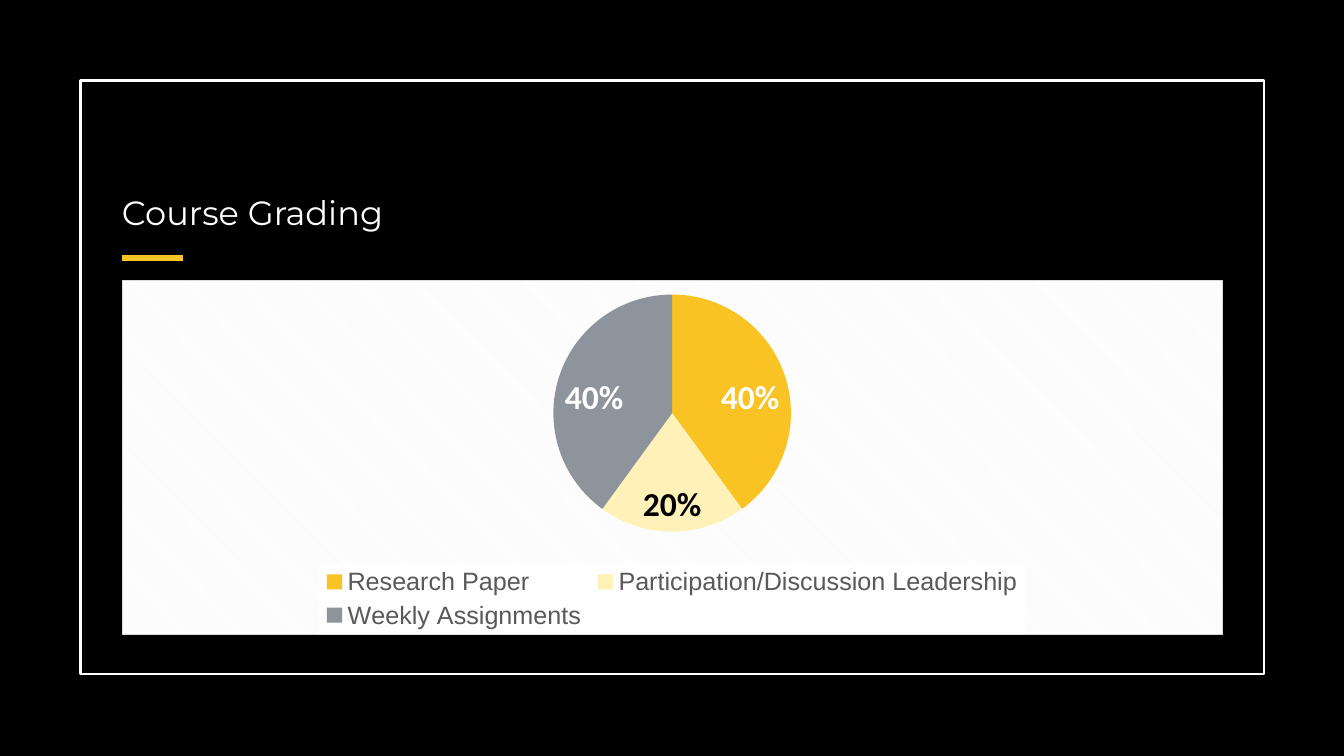
from lxml import etree
from pptx import Presentation
from pptx.chart.data import CategoryChartData
from pptx.dml.color import RGBColor
from pptx.enum.chart import XL_CHART_TYPE, XL_LABEL_POSITION, XL_LEGEND_POSITION
from pptx.enum.shapes import MSO_CONNECTOR, MSO_SHAPE
from pptx.enum.text import MSO_ANCHOR, PP_ALIGN
from pptx.oxml import parse_xml
from pptx.oxml.ns import nsdecls, qn
from pptx.util import Cm, Pt

PIE = XL_CHART_TYPE.PIE
INSIDE_END = XL_LABEL_POSITION.INSIDE_END
LEGEND_BOTTOM = XL_LEGEND_POSITION.BOTTOM
STRAIGHT = MSO_CONNECTOR.STRAIGHT
RECTANGLE = MSO_SHAPE.RECTANGLE
BOTTOM = MSO_ANCHOR.BOTTOM
LEFT = PP_ALIGN.LEFT

BLACK = RGBColor(0x00, 0x00, 0x00)
WHITE = RGBColor(0xFF, 0xFF, 0xFF)
ACCENT = RGBColor(0xF9, 0xC4, 0x23)
GOLD = RGBColor(0xF8, 0xC3, 0x23)
CREAM = RGBColor(0xFF, 0xF1, 0xB7)
SLATE = RGBColor(0x8D, 0x94, 0x9B)
LEGEND_GREY = RGBColor(0x59, 0x59, 0x59)
PATTERN_GREY = RGBColor(0xF2, 0xF2, 0xF2)
BORDER_GREY = RGBColor(0xD9, 0xD9, 0xD9)

CONTENT_LEFT, CONTENT_WIDTH = Cm(3.07), Cm(27.74)
GRADES = [
    ("Research Paper", 40, GOLD, WHITE),
    ("Participation/Discussion Leadership", 20, CREAM, BLACK),
    ("Weekly Assignments", 40, SLATE, WHITE),
]


def set_font(font, name, size, color, bold=False):
    """Set the face, size, colour and weight of a font."""
    font.name = name
    font.size = Pt(size)
    font.bold = bold
    font.color.rgb = color


def add_frame(slide):
    """Add the white outline around the slide content."""
    frame = slide.shapes.add_shape(RECTANGLE, Cm(2.03), Cm(2.03), Cm(29.82), Cm(14.96))
    frame.shadow.inherit = False
    frame.fill.background()
    frame.line.color.rgb = WHITE
    frame.line.width = Pt(1.5)


def add_accent(slide):
    """Add the short rule below the title."""
    top = Cm(6.5)
    accent = slide.shapes.add_connector(
        STRAIGHT, CONTENT_LEFT, top, CONTENT_LEFT + Cm(1.55), top)
    accent.line.color.rgb = ACCENT
    accent.line.width = Pt(4)
    etree.SubElement(accent._element.spPr, qn("a:effectLst"))


def set_title(slide, text):
    """Place and format the title placeholder."""
    title = slide.shapes.title
    title.left, title.top = CONTENT_LEFT, Cm(3.12)
    title.width, title.height = CONTENT_WIDTH, Cm(2.72)
    frame = title.text_frame
    frame.text = text
    frame.word_wrap = True
    frame.vertical_anchor = BOTTOM
    frame.margin_left = frame.margin_right = frame.margin_top = frame.margin_bottom = 0
    paragraph = frame.paragraphs[0]
    paragraph.alignment = LEFT
    set_font(paragraph.font, "Montserrat", 24, WHITE)


def add_formatting(previous, content):
    """Insert chart shape properties after the given element."""
    previous.addnext(parse_xml(f'<c:spPr {nsdecls("c", "a")}>{content}</c:spPr>'))


def format_background(chart):
    """Give the chart its hatched fill and border, and the legend its veil."""
    add_formatting(
        chart._chartSpace.find(qn("c:chart")),
        '<a:pattFill prst="dkDnDiag">'
        f'<a:fgClr><a:srgbClr val="{PATTERN_GREY}"/></a:fgClr>'
        f'<a:bgClr><a:srgbClr val="{WHITE}"/></a:bgClr></a:pattFill>'
        f'<a:ln w="{Pt(0.75)}"><a:solidFill><a:srgbClr val="{BORDER_GREY}"/>'
        '</a:solidFill></a:ln>')
    add_formatting(
        chart.legend._element.find(qn("c:overlay")),
        f'<a:solidFill><a:srgbClr val="{WHITE}"><a:alpha val="78000"/>'
        '</a:srgbClr></a:solidFill>')


def format_slices(series):
    """Colour the slices and label each with its percentage."""
    labels = series.data_labels
    labels.show_percentage = True
    labels.show_value = False
    labels.number_format = "0%"
    labels.number_format_is_linked = False
    labels.position = INSIDE_END
    set_font(labels.font, "Calibri", 24, WHITE, bold=True)
    for index, (_, _, color, label_color) in enumerate(GRADES):
        point = series.points[index]
        point.format.fill.solid()
        point.format.fill.fore_color.rgb = color
        point.format.line.fill.background()
        if label_color != WHITE:
            set_font(point.data_label.font, "Calibri", 24, label_color, bold=True)
            point.data_label.position = INSIDE_END
    for label in labels._element.findall(qn("c:dLbl")):
        label.find(qn("c:showVal")).set("val", "0")
        label.find(qn("c:showPercent")).set("val", "1")


def add_grading_chart(slide):
    """Add the pie chart of the grade components."""
    data = CategoryChartData()
    data.categories = [name for name, *_ in GRADES]
    data.add_series("Series 1", [share for _, share, *_ in GRADES])
    chart = slide.shapes.add_chart(
        PIE, CONTENT_LEFT, Cm(7.06), CONTENT_WIDTH, Cm(8.94), data).chart
    chart.has_title = False
    chart.plots[0].vary_by_categories = True
    set_font(chart.font, "Calibri", 10, BLACK)
    chart.has_legend = True
    chart.legend.position = LEGEND_BOTTOM
    chart.legend.include_in_layout = False
    set_font(chart.legend.font, "Arial", 18, LEGEND_GREY)
    format_background(chart)
    format_slices(chart.plots[0].series[0])


def main():
    """Build and save the course grading slide."""
    presentation = Presentation()
    presentation.slide_width, presentation.slide_height = Cm(33.87), Cm(19.05)
    slide = presentation.slides.add_slide(presentation.slide_layouts[5])
    slide.background.fill.solid()
    slide.background.fill.fore_color.rgb = BLACK
    add_frame(slide)
    add_accent(slide)
    set_title(slide, "Course Grading")
    add_grading_chart(slide)
    presentation.save("out.pptx")


if __name__ == "__main__":
    main()
